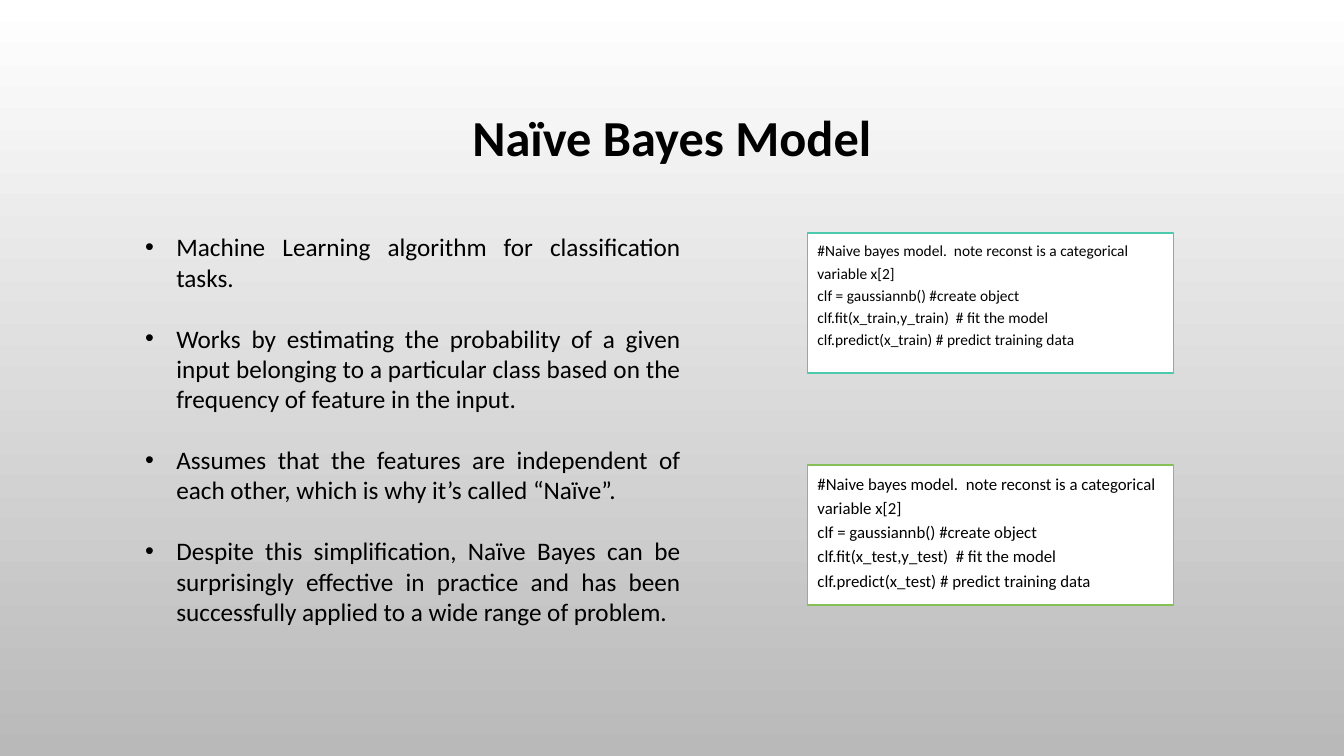
from lxml import etree
from pptx import Presentation
from pptx.dml.color import RGBColor
from pptx.enum.shapes import MSO_SHAPE
from pptx.enum.text import MSO_ANCHOR, PP_ALIGN
from pptx.oxml.ns import qn
from pptx.util import Inches, Pt

RECTANGLE = MSO_SHAPE.RECTANGLE
TOP, MIDDLE = MSO_ANCHOR.TOP, MSO_ANCHOR.MIDDLE
LEFT, CENTER, JUSTIFY = PP_ALIGN.LEFT, PP_ALIGN.CENTER, PP_ALIGN.JUSTIFY

COLORS = {
    "text": "000000",
    "white": "FFFFFF",
    "grey": "B9B9B9",
    "teal": "4BCAAD",
    "green": "86C157",
}

BULLETS = [
    "Machine Learning algorithm for classification tasks.",
    "Works by estimating the probability of a given input belonging to a "
    "particular class based on the frequency of feature in the input.",
    "Assumes that the features are independent of each other, which is why "
    "it’s called “Naïve”.",
    "Despite this simplification, Naïve Bayes can be surprisingly effective in "
    "practice and has been successfully applied to a wide range of problem.",
]

# data set, top, font size, border colour
CODE_BOXES = [
    ("train", 2.31, 11, "teal"),
    ("test", 4.61, 12, "green"),
]


def color(name):
    return RGBColor.from_string(COLORS[name])


def code_lines(data_set):
    return [
        "#Naive bayes model.  note reconst is a categorical variable x[2]",
        "clf = gaussiannb() #create object",
        f"clf.fit(x_{data_set},y_{data_set})  # fit the model",
        f"clf.predict(x_{data_set}) # predict training data",
    ]


class SlideBuilder:
    font_name = "Calibri"
    bullet_indent = Inches(0.31)

    def __init__(self, slide):
        self.slide = slide

    def background(self, top_color, bottom_color):
        fill = self.slide.background.fill
        fill.gradient()
        fill.gradient_angle = 270
        for stop, name in zip(fill.gradient_stops, (top_color, bottom_color)):
            stop.color.rgb = color(name)

    def add_run(self, paragraph, text, size, bold=False):
        run = paragraph.add_run()
        run.text = text
        run.font.name = self.font_name
        run.font.size = Pt(size)
        run.font.bold = bold
        run.font.color.rgb = color("text")

    def text_box(self, left, top, width, height, anchor):
        box = self.slide.shapes.add_textbox(
            Inches(left), Inches(top), Inches(width), Inches(height))
        frame = box.text_frame
        frame.word_wrap = True
        frame.vertical_anchor = anchor
        return frame

    def title(self, text, left, top, width, height):
        paragraph = self.text_box(left, top, width, height, MIDDLE).paragraphs[0]
        paragraph.alignment = CENTER
        paragraph.line_spacing = 0.9
        self.add_run(paragraph, text, 36, bold=True)

    def bullet_list(self, items, left, top, width, height):
        frame = self.text_box(left, top, width, height, TOP)
        for index, item in enumerate(items):
            paragraph = frame.add_paragraph() if index else frame.paragraphs[0]
            paragraph.alignment = JUSTIFY
            if index:
                paragraph.space_before = Pt(22)
            properties = paragraph._p.get_or_add_pPr()
            properties.set("marL", str(self.bullet_indent))
            properties.set("indent", str(-self.bullet_indent))
            etree.SubElement(properties, qn("a:buFont"), typeface="Arial")
            etree.SubElement(properties, qn("a:buChar"), char="•")
            self.add_run(paragraph, item, 18)

    def code_box(self, lines, left, top, width, height, size, border):
        shape = self.slide.shapes.add_shape(
            RECTANGLE, Inches(left), Inches(top), Inches(width), Inches(height))
        shape.shadow.inherit = False
        shape.fill.solid()
        shape.fill.fore_color.rgb = color("white")
        shape.line.color.rgb = color(border)
        shape.line.width = Pt(1.25)
        frame = shape.text_frame
        frame.word_wrap = True
        frame.vertical_anchor = TOP
        paragraph = frame.paragraphs[0]
        paragraph.alignment = LEFT
        paragraph.line_spacing = 1.2
        for index, line in enumerate(lines):
            if index:
                paragraph.add_line_break()
            self.add_run(paragraph, line, size)


def main():
    presentation = Presentation()
    presentation.slide_width = Inches(13.33)
    presentation.slide_height = Inches(7.5)
    slide = presentation.slides.add_slide(presentation.slide_layouts[6])

    builder = SlideBuilder(slide)
    builder.background("white", "grey")
    builder.title("Naïve Bayes Model", 1, 0.68, 11.33, 1.42)
    builder.bullet_list(BULLETS, 1.34, 2.25, 5.51, 4.04)
    for data_set, top, size, border in CODE_BOXES:
        builder.code_box(code_lines(data_set), 8.01, top, 3.63, 1.39, size, border)

    presentation.save("out.pptx")


if __name__ == "__main__":
    main()
